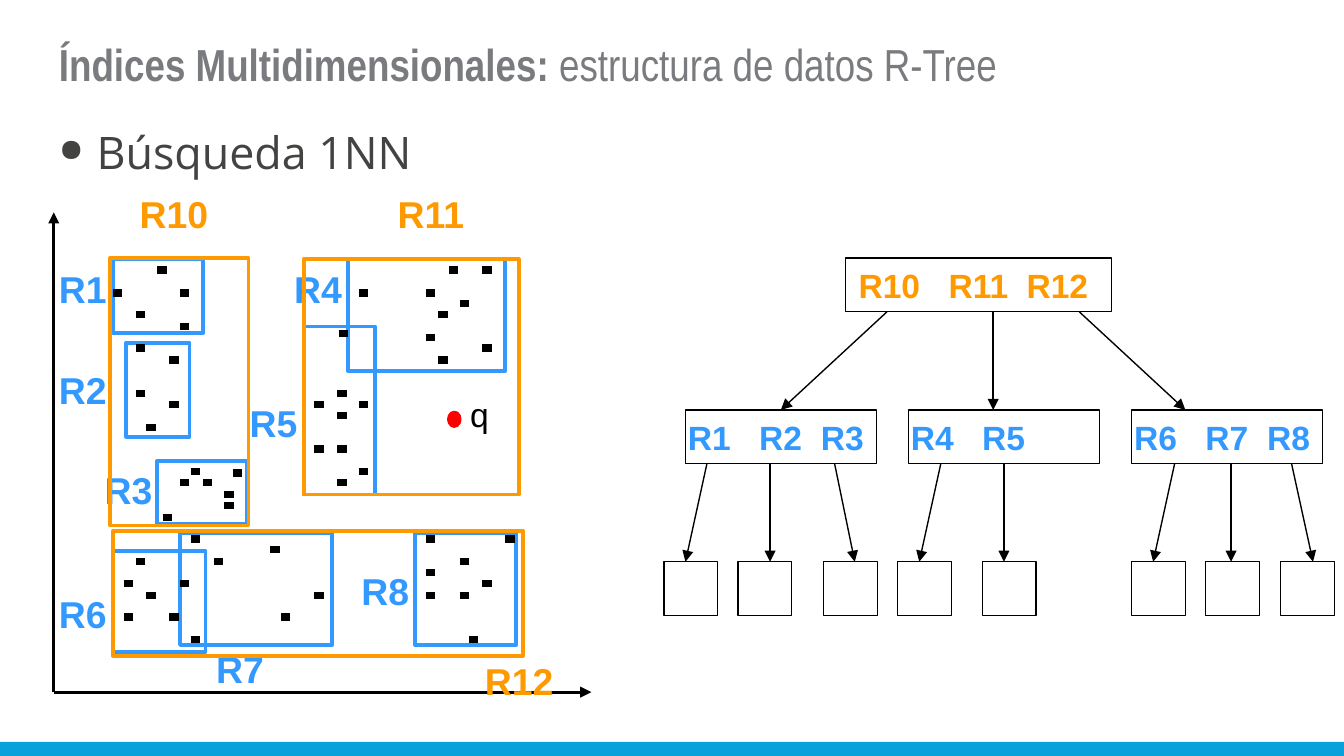
from lxml import etree
from pptx import Presentation
from pptx.dml.color import RGBColor
from pptx.enum.shapes import MSO_CONNECTOR, MSO_SHAPE
from pptx.enum.text import MSO_ANCHOR, MSO_AUTO_SIZE
from pptx.oxml.ns import qn
from pptx.util import Pt

PX = 9144
STRAIGHT = MSO_CONNECTOR.STRAIGHT
RECTANGLE = MSO_SHAPE.RECTANGLE
OVAL = MSO_SHAPE.OVAL
TOP = MSO_ANCHOR.TOP
GROW = MSO_AUTO_SIZE.SHAPE_TO_FIT_TEXT
FIXED = MSO_AUTO_SIZE.NONE

BLACK = RGBColor(0x00, 0x00, 0x00)
RED = RGBColor(0xFF, 0x00, 0x00)
BLUE = RGBColor(0x33, 0x99, 0xFF)
ORANGE = RGBColor(0xFF, 0x99, 0x00)
CYAN = RGBColor(0x08, 0xA1, 0xD9)
TITLE_GRAY = RGBColor(0x79, 0x7B, 0x7E)
BODY_GRAY = RGBColor(0x43, 0x43, 0x42)

LEAF_REGIONS = [
    (186, 85, 53, 125), (219, 35, 117, 83), (44, 35, 67, 55), (54, 97, 47, 70),
    (44, 252, 69, 75), (94, 239, 113, 83), (77, 185, 67, 47), (269, 239, 75, 83),
]
PARENT_REGIONS = [(186, 35, 160, 175), (42, 34, 103, 199), (44, 237, 305, 93)]
LEAF_LABELS = [
    ("R1", -6, 35), ("R2", -6, 110), ("R3", 28, 185), ("R4", 169, 35),
    ("R5", 136, 135), ("R6", -6, 277), ("R7", 111, 318), ("R8", 219, 260),
]
PARENT_LABELS = [("R10", 54, -21), ("R11", 246, -21), ("R12", 311, 327)]
POINT_COLUMNS_BY_ROW = {
    0: (4, 30, 33), 2: (0, 6, 22, 28), 3: (31,), 4: (2, 29), 5: (6,), 6: (28,),
    7: (2, 33), 8: (5, 29), 11: (2, 20), 12: (5, 18, 22), 13: (20,), 14: (3,),
    16: (18, 20), 18: (7, 22), 19: (6, 8, 20), 20: (10,), 21: (10,),
    24: (7, 28, 35), 25: (14,), 26: (2, 9, 31), 27: (28,), 28: (1, 6, 33),
    29: (3, 18, 28, 31), 31: (1, 5, 15), 33: (7,),
}
LOOSE_POINTS = [(81, 227), (212, 90), (133, 194), (309, 318)]

ROOT_ARROWS = [(166, 87), (245, 245), (309, 388)]
NODES = [
    ("R1\tR2\tR3", [(-16, 16, 0), (39, 63, 63), (103, 111, 126)]),
    ("R4\tR5", [(-8, 24, 8), (55, 71, 71)]),
    ("R6\tR7\tR8", [(0, 32, 16), (55, 74, 74), (111, 119, 135)]),
]


def add_box(shapes, left, top, width, height, line=None, weight=2, fill=None, kind=RECTANGLE):
    shape = shapes.add_shape(kind, left * PX, top * PX, width * PX, height * PX)
    shape.shadow.inherit = False
    if fill is None:
        shape.fill.background()
    else:
        shape.fill.solid()
        shape.fill.fore_color.rgb = fill
    if line is None:
        shape.line.fill.background()
    else:
        shape.line.color.rgb = line
        shape.line.width = Pt(weight)
    return shape


def add_line(shapes, start, end, weight, arrow=False):
    connector = shapes.add_connector(STRAIGHT, *(value * PX for value in (*start, *end)))
    connector.line.color.rgb = BLACK
    connector.line.width = Pt(weight)
    properties = connector._element.spPr
    if arrow:
        etree.SubElement(properties.find(qn("a:ln")), qn("a:tailEnd"), type="triangle")
    etree.SubElement(properties, qn("a:effectLst"))
    return connector


def add_text(shapes, left, top, width, height, text, size, color,
             font="Arial", bold=False, wrap=False, tabs=()):
    box = shapes.add_textbox(left * PX, top * PX, width * PX, height * PX)
    frame = box.text_frame
    frame.word_wrap = wrap
    frame.auto_size = GROW
    frame.vertical_anchor = TOP
    paragraph = frame.paragraphs[0]
    if tabs:
        tab_list = etree.SubElement(paragraph._p.get_or_add_pPr(), qn("a:tabLst"))
        for position in tabs:
            etree.SubElement(tab_list, qn("a:tab"), pos=str(position * PX), algn="l")
    paragraph.text = text
    paragraph.font.size = Pt(size)
    paragraph.font.name = font
    paragraph.font.bold = bold
    paragraph.font.color.rgb = color
    return box


def set_margins(box, margin):
    frame = box.text_frame
    frame.auto_size = FIXED
    frame.margin_left = frame.margin_right = margin * PX
    frame.margin_top = frame.margin_bottom = margin * PX


def add_heading(shapes, left, top, width):
    title = add_text(shapes, left, top, width, 69, "", 24, TITLE_GRAY, "Arial Narrow", wrap=True)
    set_margins(title, 10)
    paragraph = title.text_frame.paragraphs[0]
    for text, bold in (("Índices Multidimensionales: ", True), ("estructura de datos R-Tree", False)):
        run = paragraph.add_run()
        run.text = text
        run.font.bold = bold

    body = add_text(shapes, left, top + 66, width, 75, "Búsqueda 1NN", 24, BODY_GRAY,
                    "Open Sans", wrap=True)
    set_margins(body, 10)
    paragraph = body.text_frame.paragraphs[0]
    paragraph.space_before = paragraph.space_after = Pt(6)
    properties = paragraph._p.get_or_add_pPr()
    properties.set("marL", str(28 * PX))
    properties.set("indent", str(-28 * PX))
    font_properties = properties.find(qn("a:defRPr"))
    font_properties.addprevious(etree.Element(qn("a:buSzPct"), val="70000"))
    font_properties.addprevious(etree.Element(qn("a:buChar"), char="●"))


def add_region_map(shapes, left, top, width, height):
    for x, y, region_width, region_height in LEAF_REGIONS:
        add_box(shapes, left + x, top + y, region_width, region_height, BLUE)

    grid_points = [(44 + round(column * 25 / 3), 43 + round(row * 25 / 3))
                   for row, columns in POINT_COLUMNS_BY_ROW.items() for column in columns]
    for x, y in grid_points + LOOSE_POINTS:
        add_line(shapes, (left + x, top + y), (left + x + 7, top + y), 4)

    for name, x, y in LEAF_LABELS:
        add_text(shapes, left + x, top + y, 56, 43, name, 20, BLUE, bold=True)

    axes = shapes.add_group_shape().shapes
    origin = (left, top + height)
    for end in ((left, top), (left + width, top + height)):
        add_line(axes, origin, end, 1.5, arrow=True)

    for x, y, region_width, region_height in PARENT_REGIONS:
        add_box(shapes, left + x, top + y, region_width, region_height, ORANGE)
    for name, x, y in PARENT_LABELS:
        add_text(shapes, left + x, top + y, 71, 43, name, 20, ORANGE, bold=True)

    add_box(shapes, left + 294, top + 149, 8, 10, RED, fill=RED, kind=OVAL)
    add_text(shapes, left + 300, top + 130, 34, 40, "q", 18, BLACK)


def add_tree(shapes, left, top):
    box_height, level_gap, node_width = 40, 113, 142
    node_top, leaf_top = top + level_gap, top + 2 * level_gap
    add_box(shapes, left + 135, top, 198, box_height, BLACK, 0.75)
    add_text(shapes, left + 135, top, 206, box_height, "R10\tR11\tR12", 18, ORANGE,
             bold=True, wrap=True, tabs=(67, 125))

    for index, ((text, leaves), (start, end)) in enumerate(zip(NODES, ROOT_ARROWS)):
        node_left = left + 16 + 166 * index
        node = add_box(shapes, node_left, node_top, node_width, box_height, BLACK, 0.75)
        arrow = add_line(shapes, (left + start, top + box_height), (left + end, node_top),
                         0.75, arrow=True)
        if left + end == node_left + node_width // 2:
            arrow.end_connect(node, 0)
        for leaf, leaf_start, leaf_end in leaves:
            add_box(shapes, node_left + leaf, leaf_top, 40, box_height, BLACK, 0.75)
            add_line(shapes, (node_left + leaf_start, node_top + box_height),
                     (node_left + leaf_end, leaf_top), 0.75, arrow=True)
        add_text(shapes, node_left - 8, node_top, 166, box_height, text, 18, BLUE,
                 bold=True, wrap=True, tabs=(53, 99))


def main():
    presentation = Presentation()
    presentation.slide_width = 1000 * PX
    presentation.slide_height = presentation.slide_width * 9 // 16
    slide = presentation.slides.add_slide(presentation.slide_layouts[6])
    add_box(slide.shapes, 0, 552, 1000, 11, fill=CYAN)
    add_heading(slide.shapes, 34, 17, 932)
    add_region_map(slide.shapes, 40, 158, 400, 357)
    add_tree(slide.shapes.add_group_shape().shapes, 494, 192)
    presentation.save("out.pptx")


if __name__ == "__main__":
    main()
